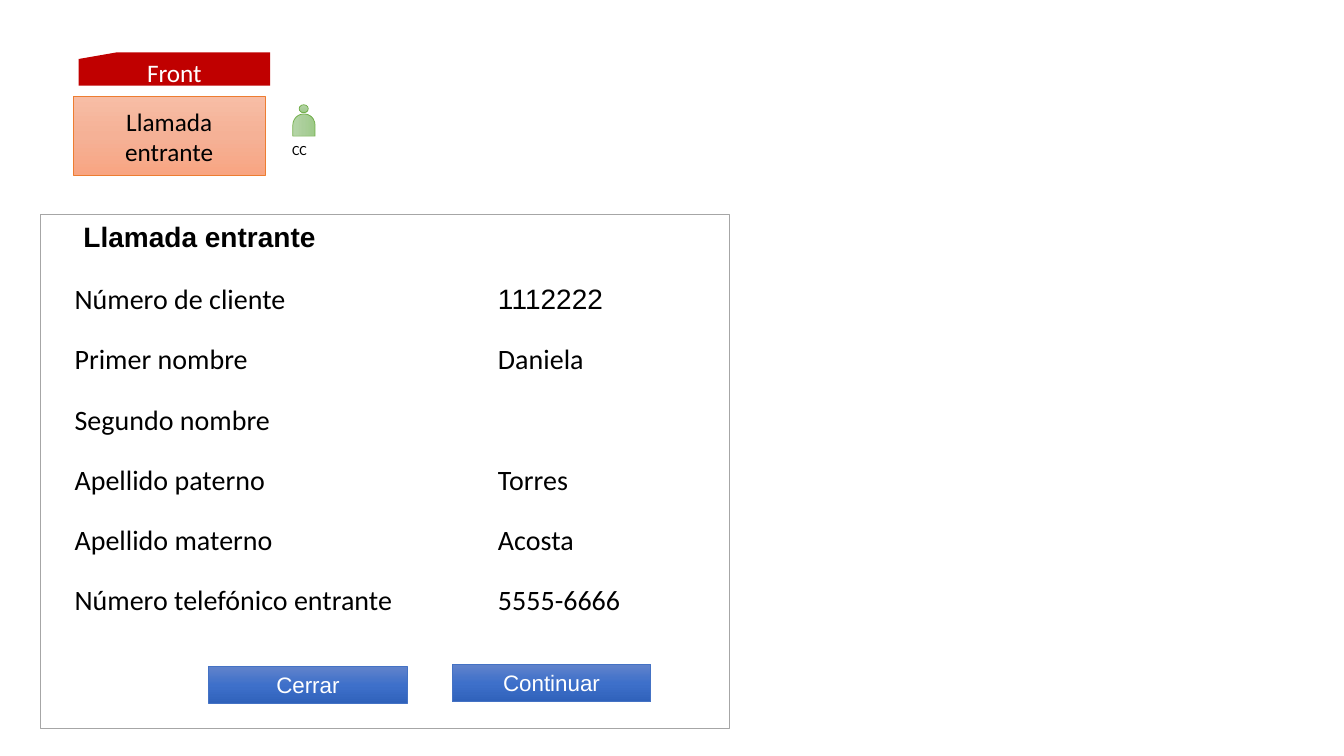
from copy import deepcopy

from pptx import Presentation
from pptx.dml.color import RGBColor
from pptx.enum.shapes import MSO_SHAPE
from pptx.enum.text import MSO_ANCHOR, MSO_AUTO_SIZE, PP_ALIGN
from pptx.oxml.ns import qn
from pptx.util import Cm, Pt

BLACK = RGBColor(0x00, 0x00, 0x00)
WHITE = RGBColor(0xFF, 0xFF, 0xFF)
GREY = RGBColor(0xA6, 0xA6, 0xA6)
RED = RGBColor(0xC0, 0x00, 0x00)
BLUE = RGBColor(0x44, 0x72, 0xC4)
ORANGE = RGBColor(0xED, 0x7D, 0x31)
GREEN = RGBColor(0x70, 0xAD, 0x47)
BLUES = [RGBColor.from_string(c) for c in ("6183CB", "3E70CA", "3062BB")]
ORANGES = [RGBColor.from_string(c) for c in ("F7BDA5", "F5B196", "F8A582")]
GREENS = [RGBColor.from_string(c) for c in ("B5D5A7", "AACE9A", "9CC987")]

FIELDS = [
    ("Número de cliente", "1112222"),
    ("Primer nombre", "Daniela"),
    ("Segundo nombre", ""),
    ("Apellido paterno", "Torres"),
    ("Apellido materno", "Acosta"),
    ("Número telefónico entrante", "5555-6666"),
]


def write(tf, text, size=18, font="Calibri", color=BLACK, bold=False,
          align=PP_ALIGN.LEFT, anchor=MSO_ANCHOR.MIDDLE, wrap=True):
    """Put one formatted paragraph into a text frame."""
    tf.word_wrap = wrap
    tf.vertical_anchor = anchor
    p = tf.paragraphs[0]
    p.alignment = align
    r = p.add_run()
    r.text = text
    r.font.size, r.font.name, r.font.bold = Pt(size), font, bold
    r.font.color.rgb = color


def fill_gradient(sp, colors):
    """Fill a shape with three colours from top to bottom."""
    sp.fill.gradient()
    sp.fill.gradient_angle = 270
    stops = sp._element.spPr.find(qn("a:gradFill")).find(qn("a:gsLst"))
    stops.insert(1, deepcopy(stops[0]))
    for stop, color, position in zip(sp.fill.gradient_stops, colors, (0, 0.5, 1)):
        stop.color.rgb = color
        stop.position = position


class Screen:
    """The current slide and the style of its elements."""

    def __init__(self, prs):
        """Add a slide that has only a title."""
        self.s = prs.slides.add_slide(prs.slide_layouts[5])

    def title(self, text, x, y, w, h):
        """Move and format the title placeholder."""
        sp = self.s.shapes.title
        sp.left, sp.top, sp.width, sp.height = Cm(x), Cm(y), Cm(w), Cm(h)
        sp.text_frame.auto_size = MSO_AUTO_SIZE.NONE
        write(sp.text_frame, text, size=20, font="Arial", bold=True,
              anchor=MSO_ANCHOR.TOP, wrap=False)

    def shape(self, kind, x, y, w, h, fill=None, line=None, width=0.5,
              text="", parent=None, **fmt):
        """Add a preset shape; a list as fill makes a gradient."""
        shapes = (parent or self.s).shapes
        sp = shapes.add_shape(kind, Cm(x), Cm(y), Cm(w), Cm(h))
        sp.shadow.inherit = False
        if isinstance(fill, list):
            fill_gradient(sp, fill)
        elif fill is not None:
            sp.fill.solid()
            sp.fill.fore_color.rgb = fill
        else:
            sp.fill.background()
        if line is not None:
            sp.line.color.rgb = line
            sp.line.width = Pt(width)
        else:
            sp.line.fill.background()
        if text:
            write(sp.text_frame, text, align=PP_ALIGN.CENTER, **fmt)
        return sp

    def button(self, text, x, y):
        """Add a blue button."""
        self.shape(MSO_SHAPE.RECTANGLE, x, y, 5, 0.94, BLUES, BLUE,
                   text=text, size=16, font="Arial", color=WHITE)

    def label(self, text, x, y, w, h, **fmt):
        """Add a text box on one line."""
        sp = self.s.shapes.add_textbox(Cm(x), Cm(y), Cm(w), Cm(h))
        write(sp.text_frame, text, anchor=MSO_ANCHOR.TOP, wrap=False, **fmt)

    def person(self, text):
        """Add a grouped person icon with its label."""
        group = self.s.shapes.add_group_shape()
        self.shape(MSO_SHAPE.FLOWCHART_CONNECTOR, 7.54, 2.64, 0.23, 0.2,
                   GREENS, GREEN, parent=group)
        body = self.shape(MSO_SHAPE.FLOWCHART_DELAY, 7.38, 2.87, 0.56, 0.56,
                          GREENS, GREEN, parent=group)
        body.rotation = 270
        self.label(text, 7.11, 3.43, 0.89, 0.69, size=10)

    def table(self, rows, x, y, widths, row_height):
        """Add a plain table of names and values."""
        frame = self.s.shapes.add_table(len(rows), len(widths), Cm(x), Cm(y),
                                        Cm(sum(widths)), Cm(row_height * len(rows)))
        table = frame.table
        table.first_row = table.horz_banding = False
        for column, width in zip(table.columns, widths):
            column.width = Cm(width)
        for i, row in enumerate(rows):
            for j, text in enumerate(row):
                cell = table.cell(i, j)
                cell.fill.background()
                cell.margin_left = cell.margin_right = cell.margin_top = Cm(0.03)
                cell.margin_bottom = 0
                cell.vertical_anchor = MSO_ANCHOR.MIDDLE
                if text:
                    font = "Arial" if (i, j) == (0, 1) else "Calibri"
                    write(cell.text_frame, text, size=20, font=font)


def main():
    """Build the incoming call screen."""
    prs = Presentation()
    prs.slide_width, prs.slide_height = Cm(33.87), Cm(19.05)
    screen = Screen(prs)
    screen.table(FIELDS, 1.85, 6.78, (10.67, 4.45), 1.52)
    screen.title("Llamada entrante", 1.85, 5.41, 6.4, 1.12)
    screen.button("Cerrar", 5.26, 16.79)
    screen.button("Continuar", 11.4, 16.74)
    screen.shape(MSO_SHAPE.RECTANGLE, 1.85, 2.44, 4.83, 1.98, ORANGES, ORANGE,
                 text="Llamada entrante")
    screen.shape(MSO_SHAPE.FLOWCHART_CARD, 1.98, 1.32, 4.83, 0.84, RED,
                 text="Front", color=WHITE)
    screen.person("CC")
    screen.shape(MSO_SHAPE.RECTANGLE, 1.02, 5.41, 17.37, 12.95, line=GREY, width=1)
    prs.save("out.pptx")


main()
